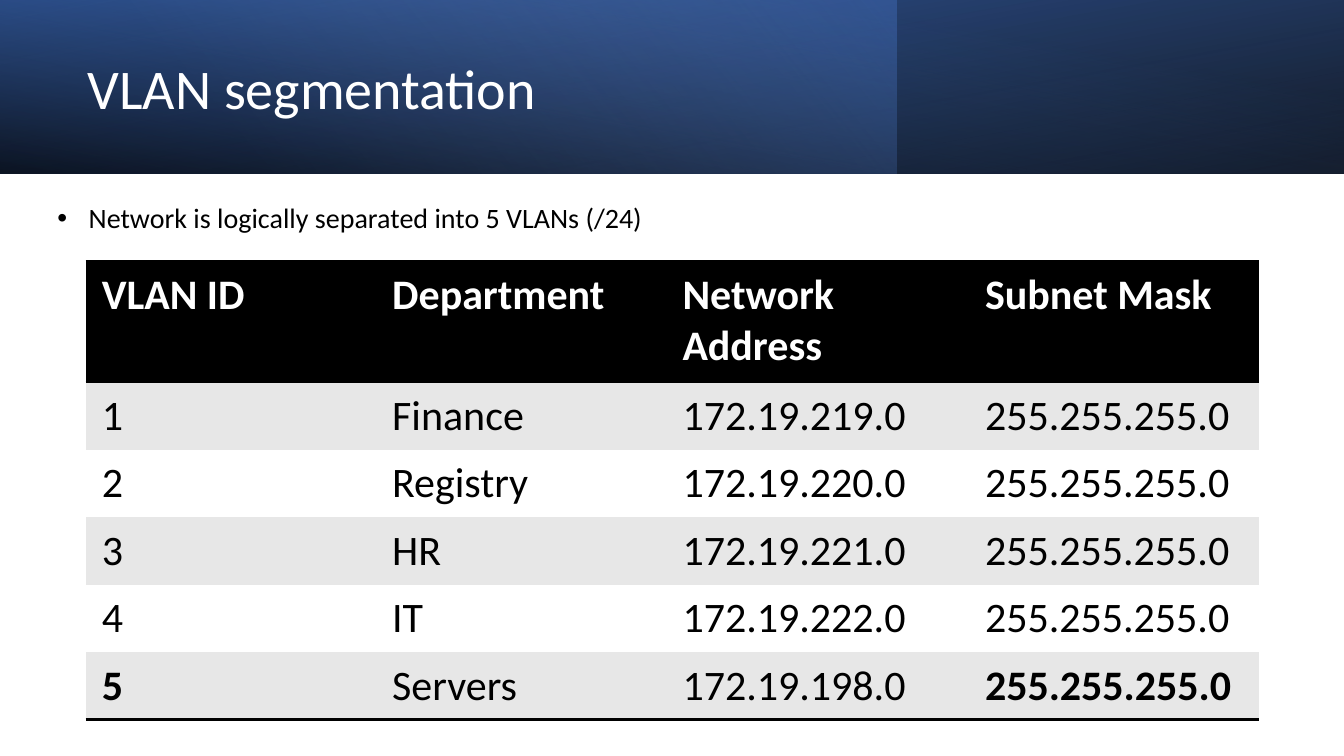
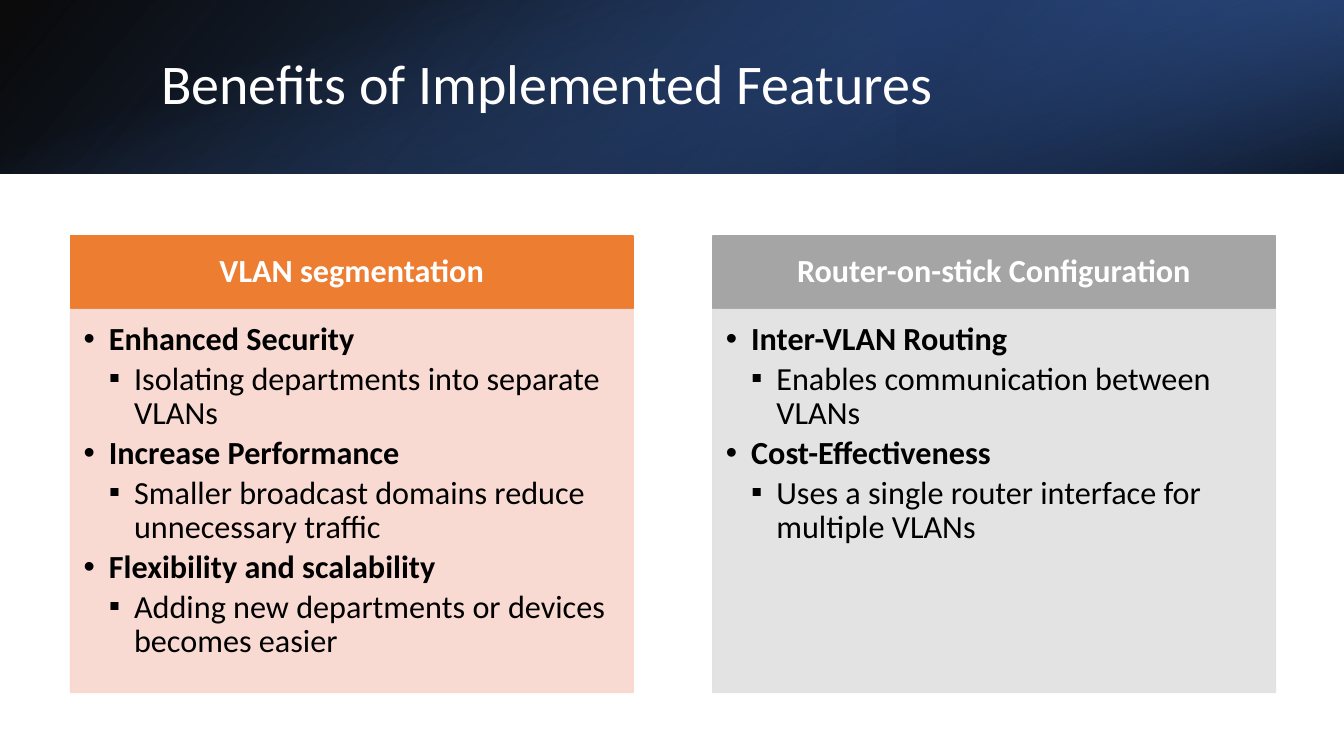
import pptx
import pptx.util
import pptx.dml.color
import pptx.enum.shapes
import pptx.enum.text
import pptx.oxml.ns
import lxml.etree

Inches = pptx.util.Inches
Pt = pptx.util.Pt
qn = pptx.oxml.ns.qn
ALIGN = pptx.enum.text.PP_ALIGN
ANCHOR = pptx.enum.text.MSO_ANCHOR

FONT = "Calibri"
SLIDE_W, SLIDE_H, BAND_H = 13.33, 7.5, 1.72
ACCENT_X = 8.89
COLORS = {
    "black": "000000",
    "white": "FFFFFF",
    "blue": "4472C4",
    "deep_blue": "2F5597",
    "navy": "203864",
    "pale_blue": "8FAADC",
    "stripe": "E7E7E7",
    "orange": "ED7D31",
    "orange_tint": "F8D7CE",
    "gray": "A5A5A5",
    "gray_tint": "E1E1E1",
}
BASE_STOPS = [(0, "black", 96), (100, "deep_blue", 100)]
FULL_BAND = (0, 0, SLIDE_W, BAND_H)
UPRIGHT_BAND = ((SLIDE_W - BAND_H) / 2, (BAND_H - SLIDE_W) / 2, BAND_H, SLIDE_W)
SEGMENTATION_BANDS = [
    (FULL_BAND, 180, True, 100, BASE_STOPS),
    ((0, 0, ACCENT_X, BAND_H), 0, False, 140,
     [(0, "blue", 41), (74, "pale_blue", 0)]),
    (FULL_BAND, 0, True, 260, [(0, "black", 63), (78, "blue", 15)]),
]
BENEFIT_BANDS = [
    (FULL_BAND, 0, True, 140, BASE_STOPS),
    ((ACCENT_X, 0, SLIDE_W - ACCENT_X, BAND_H), 180, True, 320,
     [(19, "navy", 68), (100, "blue", 79)]),
    (UPRIGHT_BAND, 90, False, 340, [(23, "blue", 0), (99, "black", 74)]),
]
VLAN_HEADINGS = ["VLAN ID", "Department", "Network\nAddress", "Subnet Mask"]
VLANS = [
    ("Finance", "172.19.219.0"),
    ("Registry", "172.19.220.0"),
    ("HR", "172.19.221.0"),
    ("IT", "172.19.222.0"),
    ("Servers", "172.19.198.0"),
]
SUBNET_MASK = "255.255.255.0"
NO_GRID_STYLE = "{2D5ABB26-0587-4C30-8999-92F81FD0307C}"
BENEFITS = [
    ("VLAN segmentation", "orange", "orange_tint", [
        ("Enhanced Security", "Isolating departments into separate VLANs"),
        ("Increase Performance",
         "Smaller broadcast domains reduce unnecessary traffic"),
        ("Flexibility and scalability",
         "Adding new departments or devices becomes easier"),
    ]),
    ("Router-on-stick Configuration", "gray", "gray_tint", [
        ("Inter-VLAN Routing", "Enables communication between VLANs"),
        ("Cost-Effectiveness",
         "Uses a single router interface for multiple VLANs"),
    ]),
]


def rgb(color):
    return pptx.dml.color.RGBColor.from_string(COLORS[color])


def add_xml(parent, tag, **attributes):
    return lxml.etree.SubElement(parent, qn(tag), attributes)


def place(shape, box):
    shape.left, shape.top, shape.width, shape.height = map(Inches, box)


def prepare_frame(frame, anchor, insets=(0.1, 0.05, 0.1, 0.05)):
    frame.word_wrap = True
    frame.auto_size = pptx.enum.text.MSO_AUTO_SIZE.NONE
    frame.vertical_anchor = anchor
    (frame.margin_left, frame.margin_top,
     frame.margin_right, frame.margin_bottom) = map(Inches, insets)


def write(paragraph, text, size, color="black", bold=False, align=ALIGN.LEFT,
          spacing=1.0, after=0):
    paragraph.alignment = align
    paragraph.line_spacing = spacing
    paragraph.space_before = Pt(0)
    paragraph.space_after = Pt(after)
    run = paragraph.add_run()
    run.text = text
    run.font.name = FONT
    run.font.size = Pt(size)
    run.font.bold = bold
    run.font.color.rgb = rgb(color)


def set_bullet(paragraph, mark, margin, hang):
    properties = paragraph._p.get_or_add_pPr()
    properties.set("marL", str(Inches(margin)))
    properties.set("indent", str(-Inches(hang)))
    add_xml(properties, "a:buFont", typeface="Arial")
    add_xml(properties, "a:buChar", char=mark)


def next_paragraph(frame, index):
    return frame.add_paragraph() if index else frame.paragraphs[0]


def add_header(slide, title, title_box, bands):
    for depth, (box, rotation, flipped, angle, stops) in enumerate(bands):
        band = slide.shapes.add_shape(
            pptx.enum.shapes.MSO_SHAPE.RECTANGLE, *map(Inches, box))
        band.shadow.inherit = False
        band.line.fill.background()
        band.rotation = rotation
        band.fill.gradient()
        band.fill.gradient_angle = 360 - angle
        properties = band._element.spPr
        if flipped:
            properties.find(qn("a:xfrm")).set("flipH", "1")
        stop_list = properties.find(".//" + qn("a:gsLst"))
        for stop in list(stop_list):
            stop_list.remove(stop)
        for position, color, opacity in stops:
            stop = add_xml(stop_list, "a:gs", pos=str(position * 1000))
            tone = add_xml(stop, "a:srgbClr", val=COLORS[color])
            add_xml(tone, "a:alpha", val=str(opacity * 1000))
        slide.shapes._spTree.insert(2 + depth, band._element)
    heading = slide.shapes.title
    place(heading, title_box)
    prepare_frame(heading.text_frame, ANCHOR.MIDDLE)
    write(heading.text_frame.paragraphs[0], title, 40, "white", spacing=0.9)


def set_border(cell, side):
    border = add_xml(cell._tc.get_or_add_tcPr(), side, w=str(Pt(2)))
    add_xml(add_xml(border, "a:solidFill"), "a:srgbClr", val=COLORS["black"])


def add_vlan_table(slide, left, top):
    widths = [2.88, 2.88, 3, 2.88]
    heights = [1.2] + [0.67] * len(VLANS)
    rows = [VLAN_HEADINGS] + [
        (str(number), department, address, SUBNET_MASK)
        for number, (department, address) in enumerate(VLANS, 1)]
    frame = slide.shapes.add_table(
        len(rows), len(widths), Inches(left), Inches(top),
        Inches(sum(widths)), Inches(sum(heights)))
    table = frame.table
    table._tbl.tblPr.find(qn("a:tableStyleId")).text = NO_GRID_STYLE
    for column, width in zip(table.columns, widths):
        column.width = Inches(width)
    for r, (height, values) in enumerate(zip(heights, rows)):
        table.rows[r].height = Inches(height)
        header, last = r == 0, r == len(VLANS)
        fill = "black" if header else "stripe" if r % 2 else "white"
        for c, value in enumerate(values):
            cell = table.cell(r, c)
            cell.margin_left = cell.margin_right = Inches(0.16)
            cell.margin_top = cell.margin_bottom = Inches(0.08)
            bold = header or (last and c in (0, len(widths) - 1))
            for index, line in enumerate(value.split("\n")):
                write(next_paragraph(cell.text_frame, index), line, 30,
                      "white" if header else "black", bold)
            if header:
                set_border(cell, "a:lnT")
            if header or last:
                set_border(cell, "a:lnB")
            cell.fill.solid()
            cell.fill.fore_color.rgb = rgb(fill)


def paint(panel, color):
    panel.fill.solid()
    panel.fill.fore_color.rgb = rgb(color)
    panel.line.color.rgb = rgb(color)
    panel.line.width = Pt(1)


def fill_benefit_card(heading, details, left, top, width, benefit):
    title, color, tint, points = benefit
    heading_h, details_h = 0.72, 3.8
    place(heading, (left, top, width, heading_h))
    paint(heading, color)
    prepare_frame(heading.text_frame, ANCHOR.MIDDLE, (0.18, 0.1, 0.18, 0.1))
    write(heading.text_frame.paragraphs[0], title, 23, "white", True,
          ALIGN.CENTER, 0.9)

    place(details, (left, top + heading_h + 0.01, width, details_h))
    paint(details, tint)
    for tone in details._element.spPr.iter(qn("a:srgbClr")):
        add_xml(tone, "a:alpha", val="90000")
    prepare_frame(details.text_frame, ANCHOR.TOP, (0.13, 0.13, 0.18, 0.2))
    lines = [(level, text) for point in points
             for level, text in enumerate(point)]
    for index, (level, text) in enumerate(lines):
        paragraph = next_paragraph(details.text_frame, index)
        paragraph.level = level
        write(paragraph, text, 23, bold=level == 0, spacing=0.9, after=3.5)
        set_bullet(paragraph, "•▪"[level], 0.25 * (level + 1), 0.25)


def build_segmentation(deck):
    slide = deck.slides.add_slide(deck.slide_layouts.get_by_name("Title and Content"))
    add_header(slide, "VLAN segmentation", (0.77, 0.27, 7.72, 1.27),
               SEGMENTATION_BANDS)
    summary = slide.placeholders[1]
    place(summary, (0.47, 1.94, 12.02, 0.71))
    prepare_frame(summary.text_frame, ANCHOR.TOP)
    statement = summary.text_frame.paragraphs[0]
    write(statement, "Network is logically separated into 5 VLANs (/24)", 20)
    set_bullet(statement, "•", 0.31, 0.31)
    add_vlan_table(slide, 0.85, 2.59)


def build_benefits(deck):
    slide = deck.slides.add_slide(deck.slide_layouts.get_by_name("Comparison"))
    add_header(slide, "Benefits of Implemented Features",
               (1.5, 0.38, 10.98, 0.96), BENEFIT_BANDS)
    card_w, gap = 5.58, 0.79
    for index, benefit in enumerate(BENEFITS):
        fill_benefit_card(
            slide.placeholders[1 + 2 * index], slide.placeholders[2 + 2 * index],
            0.7 + index * (card_w + gap), 2.34, card_w, benefit)


def main():
    deck = pptx.Presentation()
    deck.slide_width, deck.slide_height = Inches(SLIDE_W), Inches(SLIDE_H)
    build_segmentation(deck)
    build_benefits(deck)
    deck.save("out.pptx")


if __name__ == "__main__":
    main()
